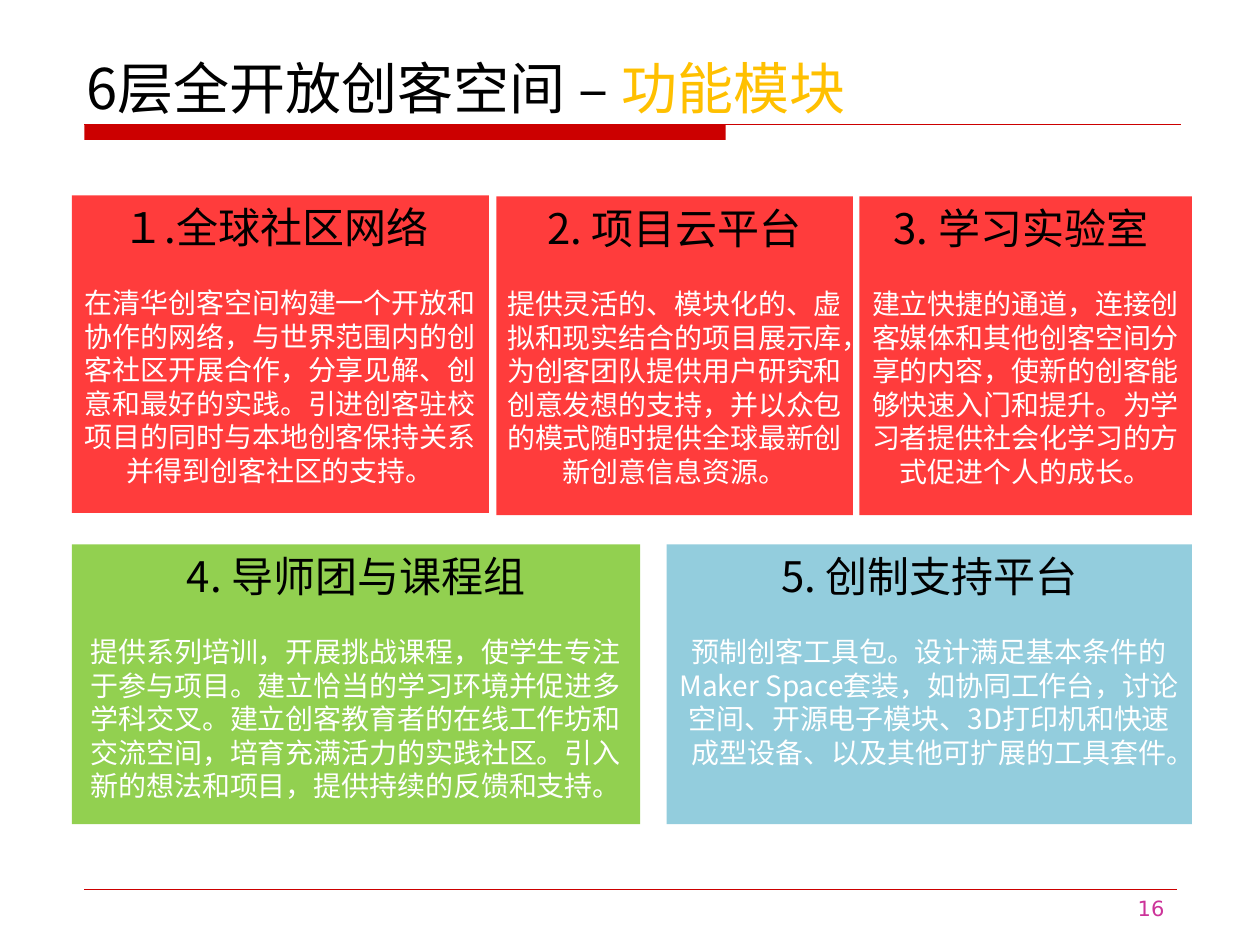
from pptx import Presentation
from pptx.dml.color import RGBColor
from pptx.enum.shapes import MSO_CONNECTOR, MSO_SHAPE
from pptx.enum.text import MSO_ANCHOR, PP_ALIGN
from pptx.oxml.ns import qn
from pptx.util import Inches, Pt

CJK = "Noto Sans CJK SC"
RED, GREEN, BLUE = "FF3C3C", "92D050", "93CDDD"
RULE_RED = "CC0000"
LINE_RATIO = 1.2

TITLE = [("6层全开放创客空间 – ", "000000"), ("功能模块", "FFC000")]
PAGE_NUMBER = "16"
MODULES = [
    ((0.57, 1.55, 3.31, 2.52), RED, "１.全球社区网络 ",
     "在清华创客空间构建一个开放和协作的网络，与世界范围内的创客社区开展合作，分享见解、创意和最好的实践。"
     "引进创客驻校项目的同时与本地创客保持关系并得到创客社区的支持。"),
    ((3.94, 1.56, 2.83, 2.53), RED, "2. 项目云平台",
     "提供灵活的、模块化的、虚拟和现实结合的项目展示库，为创客团队提供用户研究和创意发想的支持，"
     "并以众包的模式随时提供全球最新创新创意信息资源。"),
    ((6.82, 1.56, 2.64, 2.53), RED, "3. 学习实验室 ",
     "建立快捷的通道，连接创客媒体和其他创客空间分享的内容，使新的创客能够快速入门和提升。"
     "为学习者提供社会化学习的方式促进个人的成长。"),
    ((0.57, 4.32, 4.51, 2.22), GREEN, "4. 导师团与课程组",
     "提供系列培训，开展挑战课程，使学生专注于参与项目。建立恰当的学习环境并促进多学科交叉。"
     "建立创客教育者的在线工作坊和交流空间，培育充满活力的实践社区。引入新的想法和项目，提供持续的反馈和支持。"),
    ((5.29, 4.32, 4.17, 2.22), BLUE, "5. 创制支持平台",
     "预制创客工具包。设计满足基本条件的Maker Space套装，如协同工作台，讨论空间、开源电子模块、"
     "3D打印机和快速成型设备、以及其他可扩展的工具套件。"),
]


def rgb(value):
    return RGBColor.from_string(value)


def add_run(p, text, size, color, font=CJK):
    r = p.add_run()
    r.text = text
    r.font.size = Pt(size)
    r.font.name = font
    r.font.color.rgb = rgb(color)
    ea = r._r.get_or_add_rPr().makeelement(qn("a:ea"), {"typeface": font})
    r.font._element.find(qn("a:latin")).addnext(ea)


def add_rect(slide, box, color):
    sp = slide.shapes.add_shape(MSO_SHAPE.RECTANGLE, *map(Inches, box))
    sp.shadow.inherit = False
    sp.fill.solid()
    sp.fill.fore_color.rgb = rgb(color)
    sp.line.fill.background()
    return sp


def add_rule(slide, x1, x2, y, width):
    line = slide.shapes.add_connector(
        MSO_CONNECTOR.STRAIGHT, Inches(x1), Inches(y), Inches(x2), Inches(y))
    line.line.color.rgb = rgb(RULE_RED)
    line.line.width = Pt(width)
    sp_pr = line._element.spPr
    sp_pr.append(sp_pr.makeelement(qn("a:effectLst"), {}))


def add_module(slide, box, color, heading, body):
    tf = add_rect(slide, box, color).text_frame
    tf.word_wrap = True
    tf.vertical_anchor = MSO_ANCHOR.TOP
    tf.margin_left = tf.margin_right = Inches(0.08 if box[0] < 4 and box[1] < 4 else 0.1)
    rows = [(heading, 24, "000000"), (body, 16, "FFFFFF")]
    for i, (text, size, ink) in enumerate(rows):
        p = tf.add_paragraph() if i else tf.paragraphs[0]
        p.alignment = PP_ALIGN.CENTER
        p.line_spacing = Pt(size * LINE_RATIO)
        if i:
            p.space_before = Pt(size * LINE_RATIO)
        add_run(p, text, size, ink)


def add_text(slide, box, anchor, align, runs, size, font):
    tf = slide.shapes.add_textbox(*map(Inches, box)).text_frame
    tf.word_wrap = True
    tf.vertical_anchor = anchor
    p = tf.paragraphs[0]
    p.alignment = align
    p.line_spacing = Pt(size * LINE_RATIO)
    for text, color in runs:
        add_run(p, text, size, color, font)


def main():
    prs = Presentation()
    prs.slide_width, prs.slide_height = Inches(10), Inches(7.5)
    slide = prs.slides.add_slide(prs.slide_layouts[6])
    add_rect(slide, (0.67, 0.99, 5.09, 0.12), RULE_RED)
    add_rule(slide, 0.67, 9.37, 0.99, 0.75)
    add_rule(slide, 0.67, 9.34, 7.06, 0.25)
    for module in MODULES:
        add_module(slide, *module)
    add_text(slide, (0.59, 0.28, 6.93, 0.73), MSO_ANCHOR.BOTTOM, PP_ALIGN.LEFT,
             TITLE, 32, CJK)
    add_text(slide, (7.17, 7.06, 2.17, 0.29), MSO_ANCHOR.TOP, PP_ALIGN.RIGHT,
             [(PAGE_NUMBER, "CC3399")], 12, "DejaVu Sans")
    prs.save("out.pptx")


if __name__ == "__main__":
    main()
